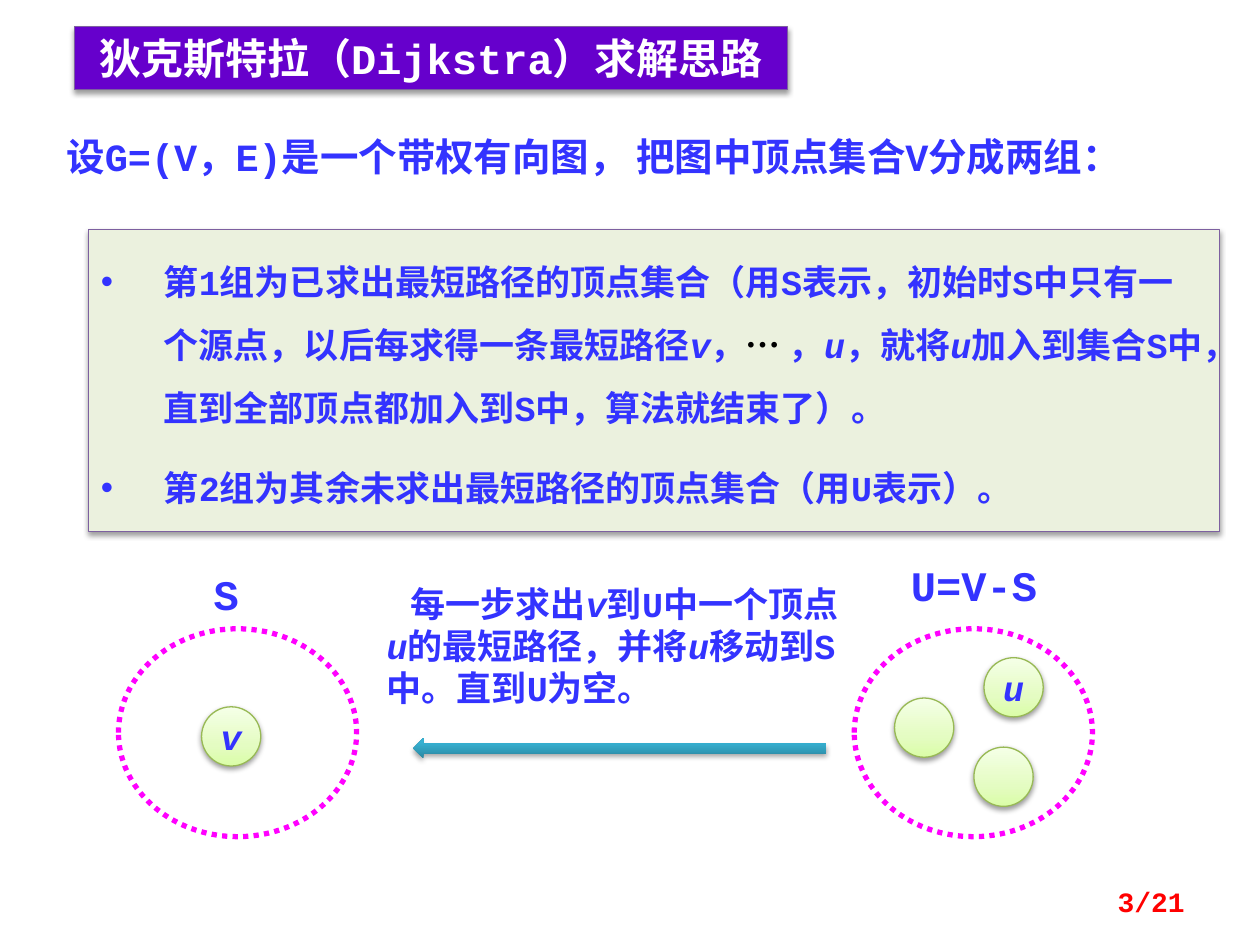
from dataclasses import dataclass

from lxml.etree import SubElement as Sub
from pptx import Presentation as Deck
from pptx.dml.color import RGBColor as RGB
from pptx.enum.dml import MSO_LINE as Dash
from pptx.enum.shapes import MSO_SHAPE as Kind
from pptx.enum.text import MSO_ANCHOR as Anchor, PP_ALIGN as Align
from pptx.oxml.ns import qn
from pptx.util import Pt

PX = 9144
FONT = "Courier New"
BLUE = RGB(0x33, 0x33, 0xFF)
BLACK = RGB(0, 0, 0)
WHITE = RGB(0xFF, 0xFF, 0xFF)
RED = RGB(0xFF, 0, 0)
PINK = RGB(0xFF, 0, 0xFF)
VIOLET = RGB(0x66, 0, 0xCC)
PURPLE = RGB(0x7D, 0x60, 0xA0)
CREAM = RGB(0xEB, 0xF1, 0xDE)
GREEN = RGB(0x98, 0xB9, 0x55)
LIME = ((0, RGB(0xDA, 0xFD, 0xA7)), (35, RGB(0xE4, 0xFC, 0xC2)), (100, RGB(0xF5, 0xFF, 0xE7)))
TEAL = ((0, RGB(0x2A, 0x88, 0xA2)), (80, RGB(0x37, 0xB1, 0xD2)), (100, RGB(0x34, 0xB4, 0xD6)))


@dataclass
class Box:
    x: int
    y: int
    w: int
    h: int

    def emu(self) -> tuple:
        return tuple(n * PX for n in (self.x, self.y, self.w, self.h))


@dataclass
class Group:
    name: str
    label: Box
    ring: Box


@dataclass
class Node:
    x: int
    y: int
    name: str = ""


GROUPS = (
    Group("S", Box(148, 451, 63, 40), Box(94, 499, 189, 165)),
    Group("U=V-S", Box(718, 444, 110, 40), Box(678, 499, 189, 165)),
)
NODES = (Node(160, 561, "v"), Node(781, 522, "u"), Node(773, 593), Node(710, 554))
SIDE = 47

HEAD = "狄克斯特拉（Dijkstra）求解思路"
INTRO = "设G=(V，E)是一个带权有向图， 把图中顶点集合V分成两组："
ITEMS = (
    "第1组为已求出最短路径的顶点集合（用S表示，初始时S中只有一个源点，"
    "以后每求得一条最短路径|v|，|… |，|u|，就将|u|加入到集合S中，"
    "直到全部顶点都加入到S中，算法就结束了）。",
    "第2组为其余未求出最短路径的顶点集合（用U表示）。",
)
STEP = "每一步求出|v|到U中一个顶点|u|的最短路径，并将|u|移动到S中。直到U为空。"


def write(shape, *lines: str, size=20, color=BLUE, align=Align.LEFT, anchor=Anchor.TOP,
          wrap=True, pad=(10, 5), gap=0, space=1.0, left=0, first=0) -> None:
    frame = shape.text_frame
    frame.word_wrap = wrap
    frame.vertical_anchor = anchor
    frame.margin_left = frame.margin_right = pad[0] * PX
    frame.margin_top = frame.margin_bottom = pad[1] * PX
    for i, line in enumerate(lines):
        para = frame.add_paragraph() if i else frame.paragraphs[0]
        para.alignment = align
        para.line_spacing = space
        para.space_before = Pt(gap if i else 0)
        props = para._p.get_or_add_pPr()
        props.set("marL", str(left * PX))
        props.set("indent", str(first * PX))
        for part in line.split("|"):
            run = para.add_run()
            run.text = part
            font = run.font
            font.name, font.size, font.bold = FONT, Pt(size), True
            font.italic = part in ("u", "v")
            font.color.rgb = BLACK if part.startswith("…") else color


def place(shape, box: Box) -> None:
    shape.left, shape.top, shape.width, shape.height = box.emu()


def paint(shape, fill, edge) -> None:
    shape.fill.solid()
    shape.fill.fore_color.rgb = fill
    shape.line.color.rgb = edge
    shape.line.width = Pt(0.75)


def blend(shape, stops: tuple) -> None:
    shape.fill.gradient()
    shape.fill.gradient_angle = 90
    bank = shape._element.spPr.find(qn("a:gradFill")).find(qn("a:gsLst"))
    for old in list(bank):
        bank.remove(old)
    for spot, color in stops:
        stop = Sub(bank, qn("a:gs"), pos=str(spot * 1000))
        Sub(stop, qn("a:srgbClr"), val=str(color))


def shade(shape, alpha=38, drop=1.6) -> None:
    shape.shadow.inherit = False
    bank = shape._element.spPr.find(qn("a:effectLst"))
    cast = Sub(bank, qn("a:outerShdw"), blurRad=str(Pt(3.1)), dist=str(Pt(drop)),
               dir="5400000", rotWithShape="0")
    tint = Sub(cast, qn("a:srgbClr"), val=str(BLACK))
    Sub(tint, qn("a:alpha"), val=str(alpha * 1000))


def note(slide, box: Box, line: str, **style) -> None:
    write(slide.shapes.add_textbox(*box.emu()), line, **style)


def draw_group(slide, group: Group) -> None:
    note(slide, group.label, group.name, size=24, align=Align.CENTER, wrap=False, pad=(0, 0))
    ring = slide.shapes.add_shape(Kind.OVAL, *group.ring.emu())
    ring.shadow.inherit = False
    ring.fill.background()
    ring.line.color.rgb = PINK
    ring.line.width = Pt(3)
    ring.line.dash_style = Dash.ROUND_DOT


def draw_node(slide, node: Node) -> None:
    ball = slide.shapes.add_shape(Kind.OVAL, *Box(node.x, node.y, SIDE, SIDE).emu())
    blend(ball, LIME)
    ball.line.color.rgb = GREEN
    ball.line.width = Pt(0.75)
    shade(ball)
    if node.name:
        write(ball, node.name, align=Align.CENTER, anchor=Anchor.MIDDLE, wrap=False)


def main() -> None:
    deck = Deck()
    deck.slide_width, deck.slide_height = 1000 * PX, 750 * PX
    slide = deck.slides.add_slide(deck.slide_layouts[1])

    title = slide.shapes.title
    place(title, Box(59, 21, 566, 50))
    paint(title, VIOLET, PURPLE)
    shade(title)
    write(title, HEAD, size=24, color=WHITE, align=Align.CENTER, wrap=False)

    body = slide.placeholders[1]
    place(body, Box(70, 182, 898, 240))
    paint(body, CREAM, PURPLE)
    shade(body)
    write(body, *ITEMS, pad=(10, 8), gap=10, space=1.5, left=50, first=-50)

    note(slide, Box(43, 101, 887, 47), INTRO, size=22, align=Align.JUSTIFY)
    for group in GROUPS:
        draw_group(slide, group)
    for node in NODES:
        draw_node(slide, node)

    note(slide, Box(297, 457, 383, 111), STEP, first=19)
    arrow = slide.shapes.add_shape(Kind.LEFT_ARROW, *Box(328, 586, 328, 16).emu())
    blend(arrow, TEAL)
    arrow.line.fill.background()
    shade(arrow, alpha=35, drop=1.8)

    note(slide, Box(717, 695, 233, 40), "3/21", size=16, color=RED,
         align=Align.RIGHT, anchor=Anchor.MIDDLE)
    deck.save("out.pptx")


if __name__ == "__main__":
    main()
